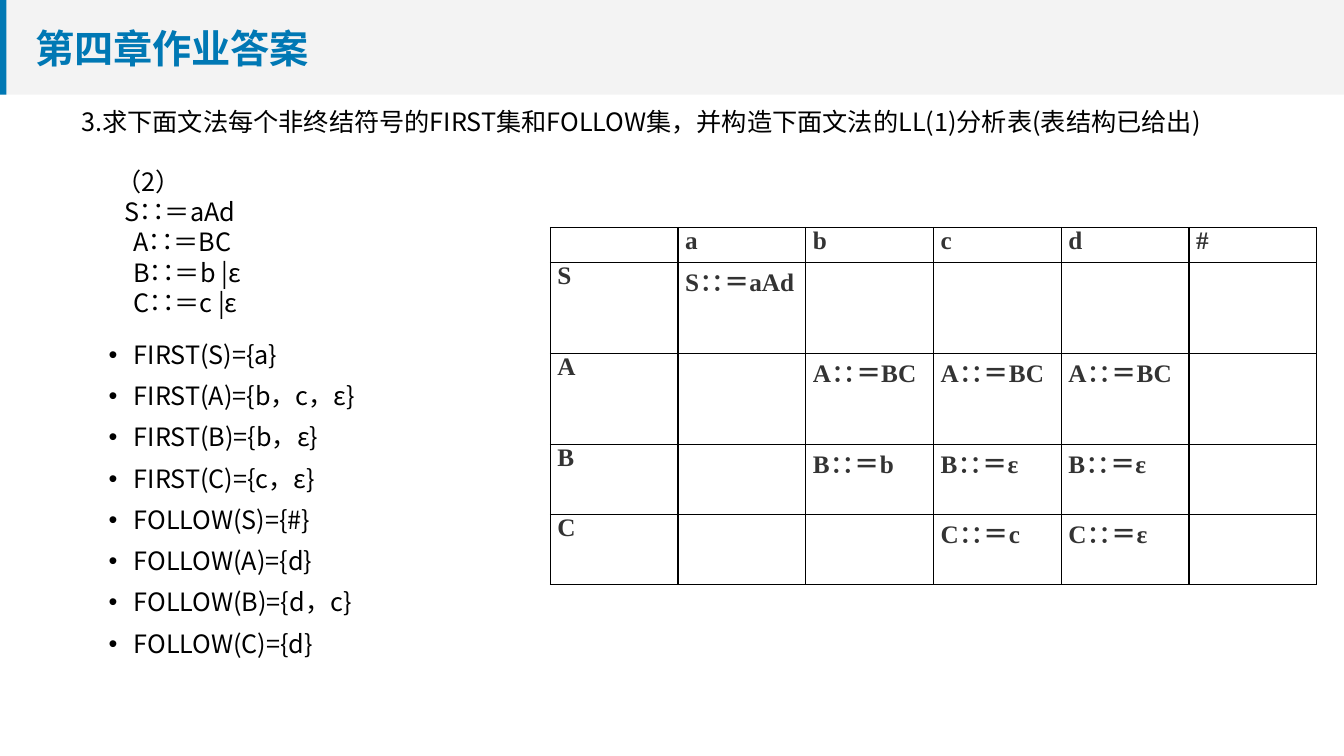
"""Build the chapter four answer slide: grammar sets and LL(1) table."""
from lxml import etree
from pptx import Presentation
from pptx.dml.color import RGBColor
from pptx.enum.shapes import MSO_SHAPE
from pptx.enum.text import MSO_ANCHOR, PP_ALIGN
from pptx.oxml.ns import qn
from pptx.util import Pt

TITLE = "第四章作业答案"
TASK = "3.求下面文法每个非终结符号的FIRST集和FOLLOW集，并构造下面文法的LL(1)分析表(表结构已给出)"
RULES = [("（2）", 14), ("S∷＝aAd", 20), ("A∷＝BC", 26),
         ("B∷＝b |ε", 26), ("C∷＝c |ε", 26)]
SETS = ["FIRST(S)={a}", "FIRST(A)={b，c，ε}", "FIRST(B)={b，ε}",
        "FIRST(C)={c，ε}", "FOLLOW(S)={#}", "FOLLOW(A)={d}",
        "FOLLOW(B)={d，c}", "FOLLOW(C)={d}"]
CELLS = [
    ["", "a", "b", "c", "d", "#"],
    ["S", "S∷＝aAd", "", "", "", ""],
    ["A", "", "A∷＝BC", "A∷＝BC", "A∷＝BC", ""],
    ["B", "", "B∷＝b", "B∷＝ε", "B∷＝ε", ""],
    ["C", "", "", "C∷＝c", "C∷＝ε", ""],
]
ROWS = [25, 65, 65, 50, 50]
COL = 91.25

BLUE = RGBColor(0x00, 0x78, 0xB4)
GREY = RGBColor(0xF3, 0xF3, 0xF3)
DARK = RGBColor(0x33, 0x33, 0x33)
BLACK = RGBColor(0, 0, 0)
SANS = "Noto Sans CJK SC"
SERIF = "Times New Roman"
RECT = MSO_SHAPE.RECTANGLE
MIDDLE = MSO_ANCHOR.MIDDLE
JUST = PP_ALIGN.JUSTIFY


def style(para, size=18, color=BLACK, bold=False, face=SANS):
    for run in para.runs:
        font = run.font
        font.size, font.bold, font.name = Pt(size), bold, face
        font.color.rgb = color
        east = etree.SubElement(run._r.get_or_add_rPr(), qn("a:ea"))
        east.set("typeface", SANS)


def add_bar(slide, width, color):
    bar = slide.shapes.add_shape(RECT, 0, 0, Pt(width), Pt(67.7))
    bar.shadow.inherit = False
    bar.fill.solid()
    bar.fill.fore_color.rgb = color
    bar.line.fill.background()


def add_text(slide, box, lines):
    frame = slide.shapes.add_textbox(*map(Pt, box)).text_frame
    frame.word_wrap = True
    frame.text = "\n".join(lines)
    for para in frame.paragraphs:
        style(para)
    return frame


def indent(para, left, first=0):
    props = para._p.get_or_add_pPr()
    props.set("marL", str(Pt(left)))
    props.set("indent", str(Pt(first)))
    return props


def add_edges(cell):
    props = cell._tc.get_or_add_tcPr()
    for at, side in enumerate(("lnL", "lnR", "lnT", "lnB")):
        line = etree.Element(qn("a:" + side), w=str(Pt(1)))
        fill = etree.SubElement(line, qn("a:solidFill"))
        etree.SubElement(fill, qn("a:srgbClr"), val=str(BLACK))
        props.insert(at, line)


def add_grid(slide):
    count = len(CELLS[0])
    table = slide.shapes.add_table(
        len(CELLS), count, Pt(393.1), Pt(162.4),
        Pt(COL * count), Pt(sum(ROWS))).table
    table.first_row = table.horz_banding = False
    for col in table.columns:
        col.width = Pt(COL)
    for r, words in enumerate(CELLS):
        table.rows[r].height = Pt(ROWS[r])
        for c, word in enumerate(words):
            cell = table.cell(r, c)
            cell.fill.background()
            cell.margin_left = cell.margin_right = Pt(5)
            cell.margin_top = cell.margin_bottom = 0
            cell.text = word
            para = cell.text_frame.paragraphs[0]
            para.alignment = JUST
            style(para, color=DARK, bold=True, face=SERIF)
            add_edges(cell)


def main():
    deck = Presentation()
    deck.slide_width, deck.slide_height = Pt(960), Pt(540)
    slide = deck.slides.add_slide(deck.slide_layouts[6])
    add_bar(slide, 960, GREY)
    add_bar(slide, 4.5, BLUE)

    head = add_text(slide, (18, 13, 735, 42.5), [TITLE])
    head.vertical_anchor = MIDDLE
    style(head.paragraphs[0], 28, BLUE, True)
    add_text(slide, (51, 72.7, 896, 58), [TASK])

    rules = add_text(slide, (62, 115.2, 320, 117), [r[0] for r in RULES])
    for para, (_, left) in zip(rules.paragraphs, RULES):
        para.alignment = JUST
        indent(para, left)

    add_grid(slide)

    sets = add_text(slide, (70.5, 241.2, 320, 245), SETS)
    for i, para in enumerate(sets.paragraphs):
        props = indent(para, 18, -18)
        etree.SubElement(props, qn("a:buFont"), typeface="Arial")
        etree.SubElement(props, qn("a:buChar"), char="•")
        para.line_spacing = 0.9
        if i:
            para.space_before = Pt(10)
    deck.save("out.pptx")


if __name__ == "__main__":
    main()
